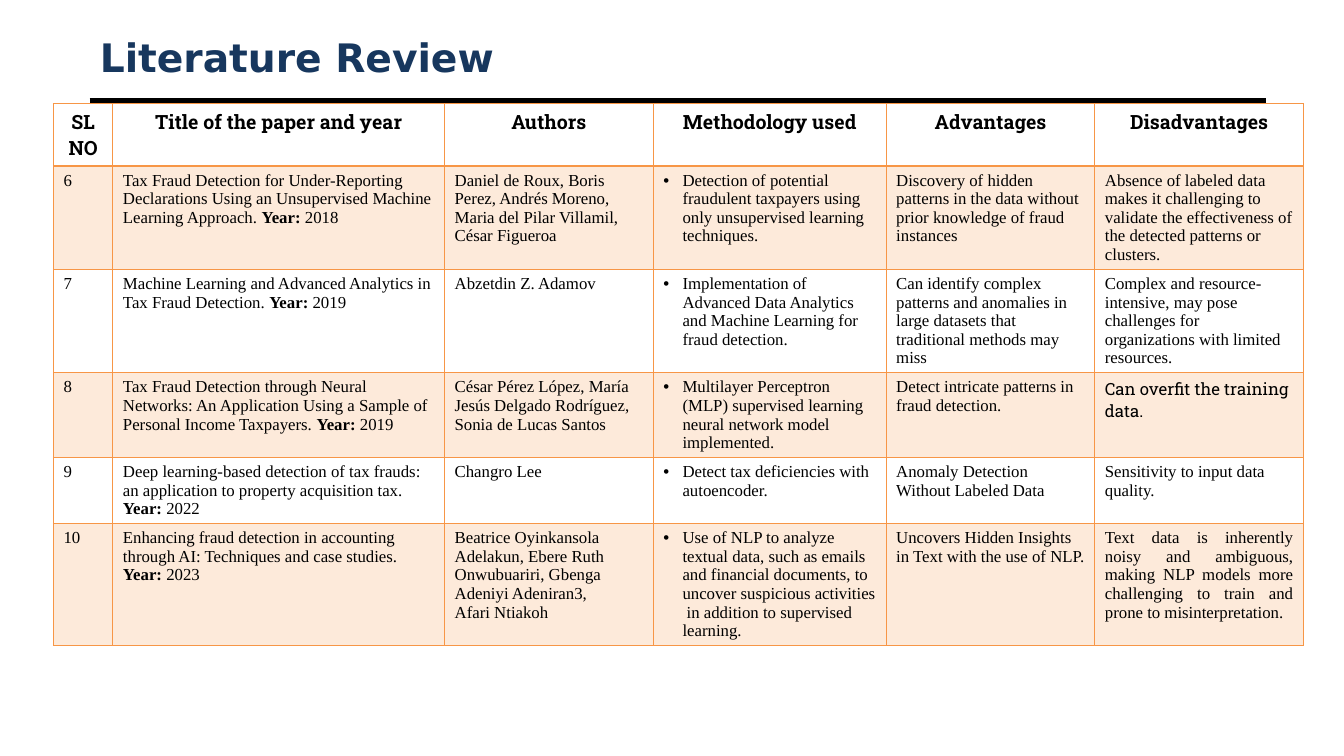
from lxml.etree import SubElement
from pptx import Presentation
from pptx.dml.color import RGBColor
from pptx.enum.text import MSO_ANCHOR, PP_ALIGN
from pptx.oxml.ns import qn
from pptx.util import Inches, Pt

COLORS = {"title": "17375E", "text": "000000", "rule": "000000", "accent": "F79646"}
TITLE_FONT, HEAD_FONT, BODY_FONT = "DejaVu Sans", "Roboto Slab", "Times New Roman"
TINT = 20  # percent opacity of the accent in shaded rows

TITLE = "Literature Review"
HEADERS = ["SL NO", "Title of the paper and year", "Authors",
           "Methodology used", "Advantages", "Disadvantages"]
COL_WIDTHS = [0.59, 3.29, 2.07, 2.31, 2.07, 2.07]
ROW_HEIGHTS = [0.52, 1.02, 0.95, 0.81, 0.65, 1.02]
FIRST_NUMBER = 6
# paper, year, authors, methodology, advantages, disadvantages
PAPERS = [
    ("Tax Fraud Detection for Under-Reporting Declarations Using an Unsupervised "
     "Machine Learning Approach.", 2018,
     "Daniel de Roux, Boris Perez, Andrés Moreno, Maria del Pilar Villamil, César Figueroa",
     "Detection of potential fraudulent taxpayers using only unsupervised learning techniques.",
     "Discovery of hidden patterns in the data without prior knowledge of fraud instances",
     "Absence of labeled data makes it challenging to validate the effectiveness of the "
     "detected patterns or clusters."),
    ("Machine Learning and Advanced Analytics in Tax Fraud Detection.", 2019,
     "Abzetdin Z. Adamov",
     "Implementation of Advanced Data Analytics and Machine Learning for fraud detection.",
     "Can identify complex patterns and anomalies in large datasets that traditional "
     "methods may miss",
     "Complex and resource-intensive, may pose challenges for organizations with "
     "limited resources."),
    ("Tax Fraud Detection through Neural Networks: An Application Using a Sample of "
     "Personal Income Taxpayers.", 2019,
     "César Pérez López, María Jesús Delgado Rodríguez, Sonia de Lucas Santos",
     "Multilayer Perceptron (MLP) supervised learning neural network model implemented.",
     "Detect intricate patterns in fraud detection.",
     "Can overfit the training data."),
    ("Deep learning-based detection of tax frauds: an application to property "
     "acquisition tax.", 2022,
     "Changro Lee",
     "Detect tax deficiencies with autoencoder.",
     "Anomaly Detection Without Labeled Data",
     "Sensitivity to input data quality."),
    ("Enhancing fraud detection in accounting through AI: Techniques and case studies.", 2023,
     "Beatrice Oyinkansola Adelakun, Ebere Ruth Onwubuariri, Gbenga Adeniyi Adeniran3,\n"
     "Afari Ntiakoh",
     "Use of NLP to analyze textual data, such as emails and financial documents, to "
     "uncover suspicious activities  in addition to supervised learning.",
     "Uncovers Hidden Insights in Text with the use of NLP.",
     "Text data is inherently noisy and ambiguous, making NLP models more challenging "
     "to train and prone to misinterpretation."),
]
METHOD_COL, LAST_COL = 3, 5
SLAB_CELL, JUSTIFIED_CELL = (3, LAST_COL), (5, LAST_COL)


def style_run(r, font, size, color, bold=False):
    r.font.name, r.font.size, r.font.bold = font, Pt(size), bold
    r.font.color.rgb = RGBColor.from_string(COLORS[color])


def set_borders(cell, widths):
    """Draw the left, right, top and bottom borders with the given point widths."""
    tc_pr = cell._tc.get_or_add_tcPr()
    for side, width in zip("LRTB", widths):
        ln = SubElement(tc_pr, qn(f"a:ln{side}"), w=str(Pt(width)))
        fill = SubElement(ln, qn("a:solidFill"))
        SubElement(fill, qn("a:srgbClr"), val=COLORS["accent"])


def set_fill(cell, shaded):
    if not shaded:
        cell.fill.background()
        return
    cell.fill.solid()
    cell.fill.fore_color.rgb = RGBColor.from_string(COLORS["accent"])
    color = cell._tc.tcPr.find(qn("a:solidFill")).find(qn("a:srgbClr"))
    SubElement(color, qn("a:alpha"), val=str(TINT * 1000))


def add_bullet(p):
    p_pr = p._p.get_or_add_pPr()
    indent = Inches(0.19)
    p_pr.set("marL", str(indent))
    p_pr.set("indent", str(-indent))
    SubElement(p_pr, qn("a:buFont"), typeface="Arial")
    SubElement(p_pr, qn("a:buChar"), char="•")


def add_title(s):
    title = s.shapes.title
    title.left, title.top = Inches(0.89), Inches(0.3)
    title.width, title.height = Inches(11.67), Inches(0.53)
    tf = title.text_frame
    tf.text = TITLE
    tf.vertical_anchor = MSO_ANCHOR.MIDDLE
    p = tf.paragraphs[0]
    p.alignment = PP_ALIGN.LEFT
    style_run(p.runs[0], TITLE_FONT, 28, "title", True)


def add_rule(s):
    rule = s.shapes.add_connector(1, Inches(0.89), Inches(1), Inches(12.56), Inches(1))
    rule.line.width = Pt(4.5)
    rule.line.color.rgb = RGBColor.from_string(COLORS["rule"])
    SubElement(rule._element.spPr, qn("a:effectLst"))


def fill_cell(cell, row, col, text):
    header = row == 0
    set_borders(cell, (1, 1, 2 if row == 1 else 1, 2 if header else 1))
    set_fill(cell, row % 2 == 1)
    cell.text_frame.text = text
    font = HEAD_FONT if header or (row, col) == SLAB_CELL else BODY_FONT
    for p in cell.text_frame.paragraphs:
        p.alignment = PP_ALIGN.CENTER if header else PP_ALIGN.LEFT
        if (row, col) == JUSTIFIED_CELL:
            p.alignment = PP_ALIGN.JUSTIFY
        if col == METHOD_COL and not header:
            add_bullet(p)
        for r in p.runs:
            style_run(r, font, 14 if header else 12, "text", header)


def add_year(cell, year):
    p = cell.text_frame.paragraphs[0]
    for text, bold in ((" ", False), ("Year:", True), (f" {year}", False)):
        r = p.add_run()
        r.text = text
        style_run(r, BODY_FONT, 12, "text", bold)


def add_review_table(s):
    table = s.shapes.add_table(len(ROW_HEIGHTS), len(COL_WIDTHS), Inches(0.53), Inches(1.03),
                               Inches(sum(COL_WIDTHS)), Inches(sum(ROW_HEIGHTS))).table
    table.first_row = table.horz_banding = False
    for column, width in zip(table.columns, COL_WIDTHS):
        column.width = Inches(width)
    for row, height in zip(table.rows, ROW_HEIGHTS):
        row.height = Inches(height)

    rows = [HEADERS]
    for number, (paper, _, *details) in enumerate(PAPERS, FIRST_NUMBER):
        rows.append([str(number), paper, *details])
    for i, texts in enumerate(rows):
        for j, text in enumerate(texts):
            fill_cell(table.cell(i, j), i, j, text)
    for i, paper in enumerate(PAPERS, 1):
        add_year(table.cell(i, 1), paper[1])


def main():
    prs = Presentation()
    prs.slide_width, prs.slide_height = Inches(13.33), Inches(7.5)
    s = prs.slides.add_slide(prs.slide_layouts[5])
    add_title(s)
    add_rule(s)
    add_review_table(s)
    prs.save("out.pptx")


if __name__ == "__main__":
    main()
